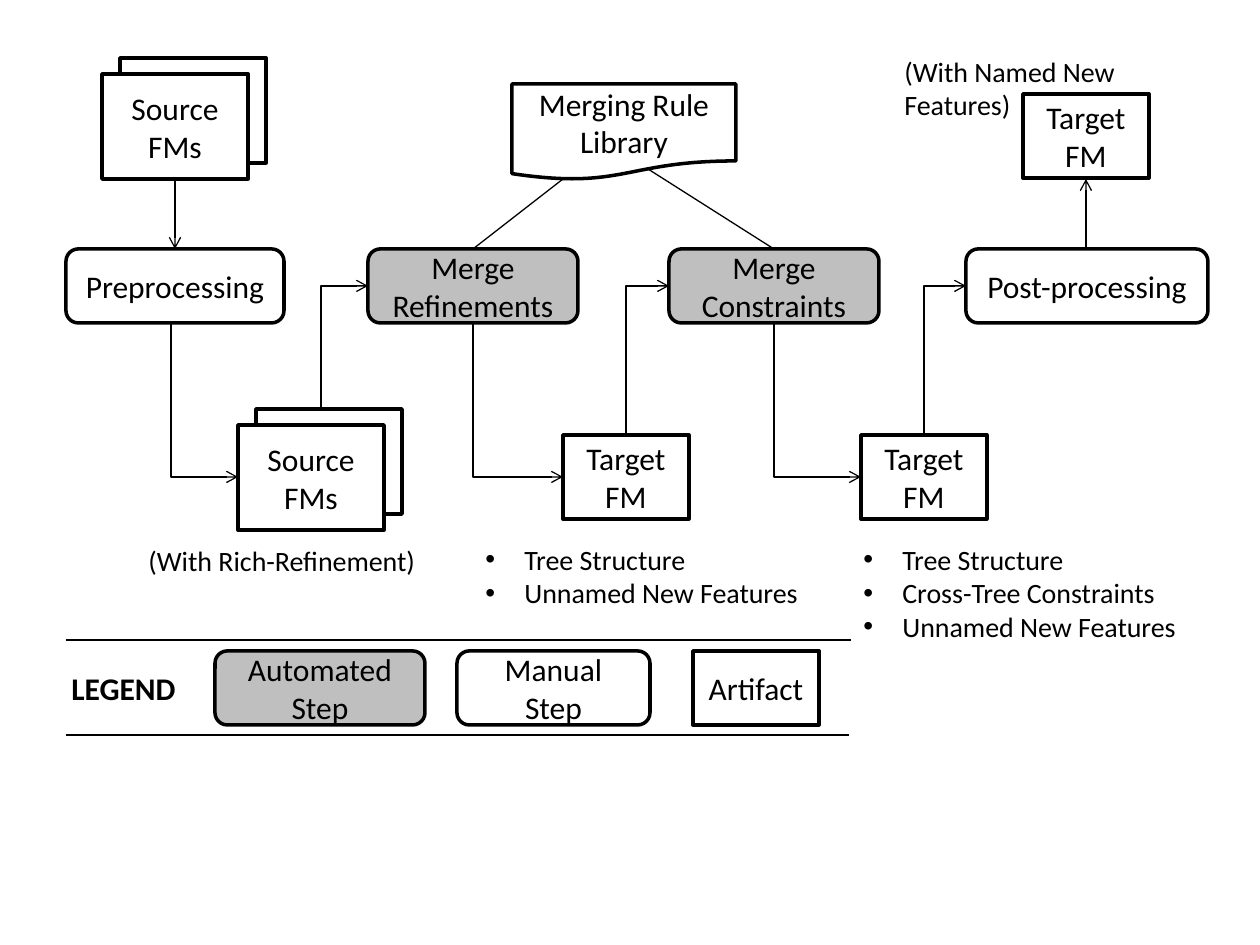
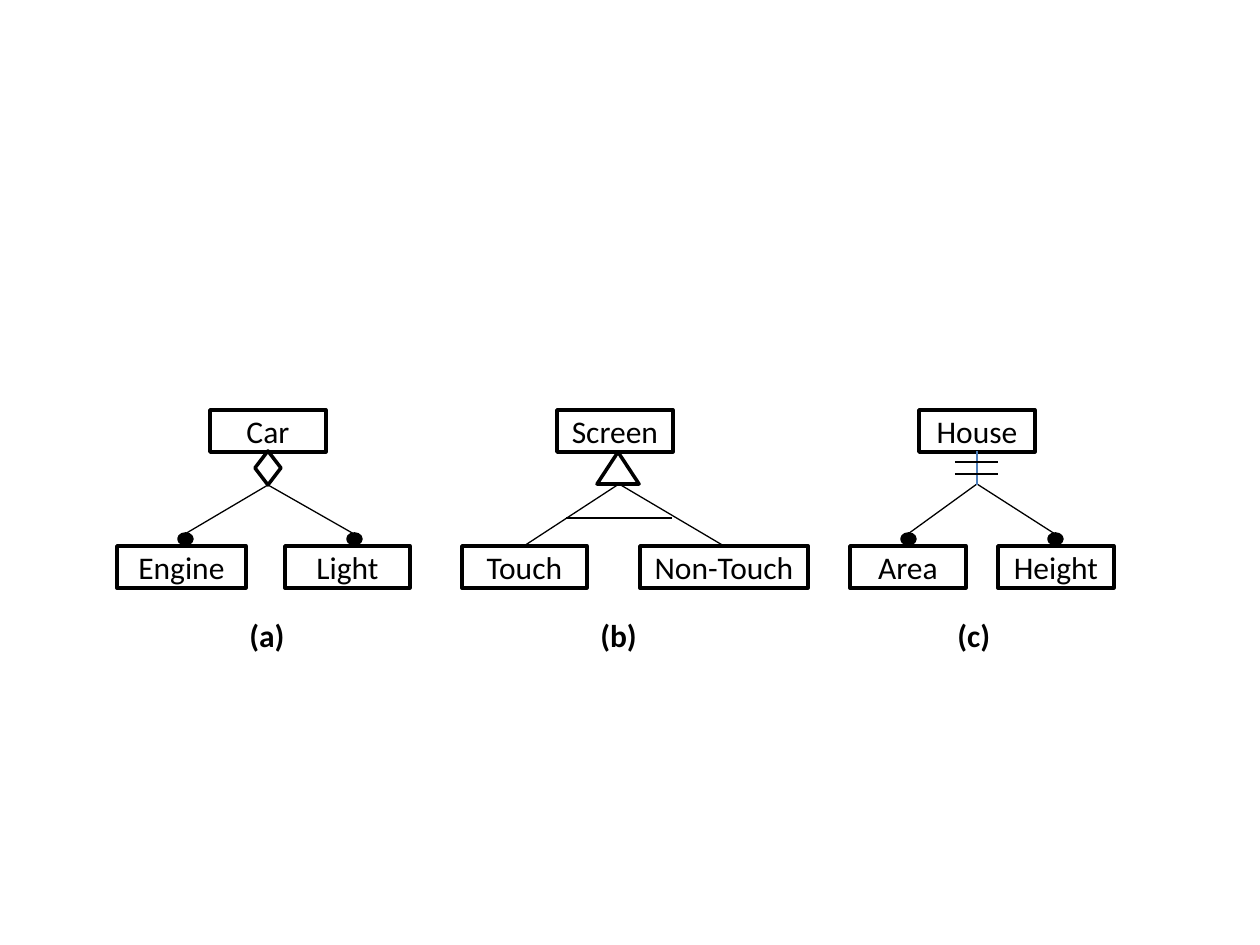
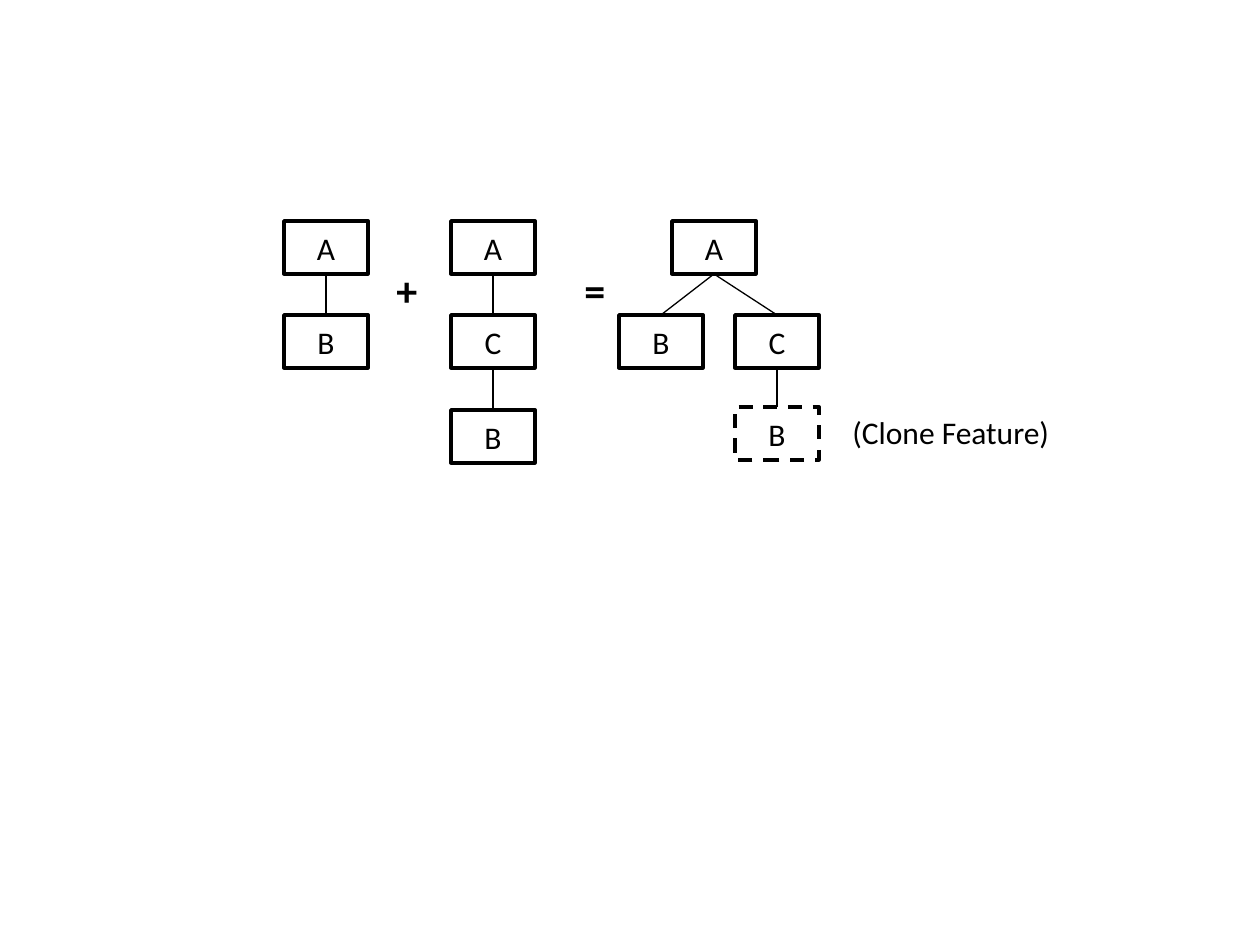
import pptx
import pptx.util
import pptx.dml.color
import pptx.enum.dml
import pptx.enum.shapes
import pptx.enum.text
import pptx.oxml.ns
import lxml.etree

PIXEL = 914400 // 126
FONT = "Calibri"
COLORS = {"ink": "000000", "paper": "FFFFFF", "automated": "BFBFBF", "accent": "4B7EBC"}
SHAPES = pptx.enum.shapes.MSO_SHAPE
CONNECTORS = pptx.enum.shapes.MSO_CONNECTOR
qn = pptx.oxml.ns.qn


def add_box(slide, kind, rect, text="", fill="paper", size=18, bold=False,
            wrap=True, bullets=False, dashed=False):
    """Add an outlined shape with centred text, or a plain label if kind is None."""
    left, top, width, height = [value * PIXEL for value in rect]
    if kind is None:
        box = slide.shapes.add_textbox(left, top, width, height)
        box.text_frame.auto_size = pptx.enum.text.MSO_AUTO_SIZE.SHAPE_TO_FIT_TEXT
    else:
        box = slide.shapes.add_shape(kind, left, top, width, height)
        box.shadow.inherit = False
        box.fill.solid()
        box.fill.fore_color.rgb = pptx.dml.color.RGBColor.from_string(COLORS[fill])
        box.line.color.rgb = pptx.dml.color.RGBColor.from_string(COLORS["ink"])
        box.line.width = pptx.util.Pt(2)
        if dashed:
            box.line.dash_style = pptx.enum.dml.MSO_LINE.DASH
        box.text_frame.vertical_anchor = pptx.enum.text.MSO_ANCHOR.MIDDLE
    box.text_frame.word_wrap = wrap
    if text:
        box.text_frame.text = text
    for para in box.text_frame.paragraphs:
        if kind is not None:
            para.alignment = pptx.enum.text.PP_ALIGN.CENTER
        if bullets:
            properties = para._p.get_or_add_pPr()
            properties.set("marL", str(39 * PIXEL))
            properties.set("indent", str(-39 * PIXEL))
            lxml.etree.SubElement(properties, qn("a:buFont")).set("typeface", "Arial")
            lxml.etree.SubElement(properties, qn("a:buChar")).set("char", "•")
        for run in para.runs:
            run.font.name = FONT
            run.font.size = pptx.util.Pt(size)
            run.font.bold = bold
            run.font.color.rgb = pptx.dml.color.RGBColor.from_string(COLORS["ink"])


def add_line(slide, start, end, arrow=False, elbow=False, color="ink", width=0.75):
    """Join two points; an elbow runs vertically first, then to the right."""
    (x1, y1), (x2, y2) = [(x * PIXEL, y * PIXEL) for x, y in (start, end)]
    kind = CONNECTORS.STRAIGHT
    if elbow:
        # The unrotated elbow runs across first, so it is laid flat and then turned.
        kind = CONNECTORS.ELBOW
        downward = y2 > y1
        length, depth = abs(y2 - y1), x2 - x1
        x1, y1 = (x1 + x2 - length) // 2, (y1 + y2 - depth) // 2
        x2, y2 = x1 + length, y1 + depth
    line = slide.shapes.add_connector(kind, x1, y1, x2, y2)
    properties = line._element.spPr
    if elbow:
        properties.find(qn("a:prstGeom")).set("prst", "bentConnector2")
        frame = properties.find(qn("a:xfrm"))
        frame.set("rot", "16200000" if downward else "5400000")
        frame.set("flipH", "1")
        if not downward:
            frame.set("flipV", "1")
    line.line.color.rgb = pptx.dml.color.RGBColor.from_string(COLORS[color])
    line.line.width = pptx.util.Pt(width)
    if arrow:
        outline = properties.find(qn("a:ln"))
        lxml.etree.SubElement(outline, qn("a:tailEnd")).set("type", "arrow")
    lxml.etree.SubElement(properties, qn("a:effectLst"))


deck = pptx.Presentation()
deck.slide_width = 1260 * PIXEL
deck.slide_height = 945 * PIXEL
blank = deck.slide_layouts[6]

# Slide 1: merging process
slide = deck.slides.add_slide(blank)

STEP_TOP, STEP_HEIGHT, LEGEND_TOP = 249, 74, 651
STEP_BOTTOM, STEP_MIDDLE = STEP_TOP + STEP_HEIGHT, 286
TARGET_TOP, ARTIFACT_MIDDLE, UPPER_BOTTOM = 435, 477, 179

for left, top, width, text, fill in [
    (66, STEP_TOP, 218, "Preprocessing", "paper"),
    (368, STEP_TOP, 210, "Merge Refinements", "automated"),
    (669, STEP_TOP, 210, "Merge Constraints", "automated"),
    (966, STEP_TOP, 242, "Post-processing", "paper"),
    (215, LEGEND_TOP, 210, "Automated Step", "automated"),
    (457, LEGEND_TOP, 193, "Manual Step", "paper"),
]:
    add_box(slide, SHAPES.ROUNDED_RECTANGLE, (left, top, width, STEP_HEIGHT), text, fill)

for left, top, height, text in [
    (563, TARGET_TOP, 84, "Target FM"),
    (861, TARGET_TOP, 84, "Target FM"),
    (1023, 94, 84, "Target FM"),
    (693, LEGEND_TOP, STEP_HEIGHT, "Artifact"),
]:
    add_box(slide, SHAPES.RECTANGLE, (left, top, 126, height), text)

add_box(slide, SHAPES.FLOWCHART_DOCUMENT, (512, 84, 224, 96), "Merging Rule Library")

for x, artifact_left in [(171, 238), (473, 563), (774, 861)]:
    add_line(slide, (x, STEP_BOTTOM), (artifact_left, ARTIFACT_MIDDLE), arrow=True, elbow=True)
for x, artifact_top, step_left in [(321, 425, 368), (626, TARGET_TOP, 669), (924, TARGET_TOP, 966)]:
    add_line(slide, (x, artifact_top), (step_left, STEP_MIDDLE), arrow=True, elbow=True)
add_line(slide, (175, UPPER_BOTTOM), (175, STEP_TOP), arrow=True)
add_line(slide, (1086, STEP_TOP), (1086, UPPER_BOTTOM), arrow=True)
add_line(slide, (473, STEP_TOP), (563, UPPER_BOTTOM))
add_line(slide, (774, STEP_TOP), (648, 169))
add_line(slide, (66, 640), (851, 640))
add_line(slide, (66, 735), (849, 735))

for left, top in [(102, 74), (238, 425)]:
    add_box(slide, SHAPES.RECTANGLE, (left + 18, top - 16, 146, 105))
    add_box(slide, SHAPES.RECTANGLE, (left, top, 146, 105), "Source FMs")

add_box(slide, None, (136, 537, 345, 47), "(With Rich-Refinement)", size=16)
add_box(slide, None, (892, 48, 345, 47), "(With Named New Features)", size=16)
add_box(slide, None, (473, 536, 359, 81), "Tree Structure\nUnnamed New Features",
        size=16, bullets=True)
add_box(slide, None, (851, 536, 345, 115),
        "Tree Structure\nCross-Tree Constraints\nUnnamed New Features", size=16, bullets=True)
add_box(slide, None, (59, 663, 130, 50), "LEGEND", bold=True, wrap=False)

# Slide 2: three kinds of refinement
slide = deck.slides.add_slide(blank)

ROOT_TOP, CHILD_TOP, NODE_HEIGHT, ROOT_WIDTH = 410, 546, 42, 116
DOT_WIDTH, DOT_HEIGHT, DOT_TOP = 13, 10, 534
CAPTION_WIDTH = 66

# Each tree: root, its left, apex of the branches, mandatory children or not,
# children as (name, left, width, foot of the branch), caption and its left
trees = [
    ("Car", 210, (268, 485), True,
     [("Engine", 117, 129, 185), ("Light", 285, 125, 354)], "(a)", 237),
    ("Screen", 557, (619, 484), False,
     [("Touch", 462, 125, 524), ("Non-Touch", 640, 168, 724)], "(b)", 588),
    ("House", 919, (977, 484), True,
     [("Area", 850, 116, 908), ("Height", 998, 116, 1055)], "(c)", 945),
]
for root, root_left, apex, mandatory, children, caption, caption_left in trees:
    add_box(slide, SHAPES.RECTANGLE, (root_left, ROOT_TOP, ROOT_WIDTH, NODE_HEIGHT), root)
    for name, left, width, foot in children:
        add_box(slide, SHAPES.RECTANGLE, (left, CHILD_TOP, width, NODE_HEIGHT), name)
        add_line(slide, apex, (foot, DOT_TOP if mandatory else CHILD_TOP))
        if mandatory:
            dot = (foot - DOT_WIDTH // 2, DOT_TOP, DOT_WIDTH, DOT_HEIGHT)
            add_box(slide, SHAPES.OVAL, dot, fill="ink")
    add_box(slide, None, (caption_left, 610, CAPTION_WIDTH, 50), caption, bold=True, wrap=False)

add_box(slide, SHAPES.FLOWCHART_DECISION, (255, 451, 26, 34))
add_box(slide, SHAPES.ISOSCELES_TRIANGLE, (597, 452, 42, 32))
add_line(slide, (566, 518), (672, 518), width=1)
add_line(slide, (977, 451), (977, 485), color="accent")
for y in (462, 474):
    add_line(slide, (955, y), (998, y))

# Slide 3: merging two trees gives a clone feature
slide = deck.slides.add_slide(blank)

FEATURE_WIDTH, FEATURE_HEIGHT = 84, 53
ROWS = [221, 315, 410]

# Each feature: name, left, top, index of its parent
features = [
    ("A", 284, ROWS[0], None), ("B", 284, ROWS[1], 0),
    ("A", 451, ROWS[0], None), ("C", 451, ROWS[1], 2), ("B", 451, ROWS[2], 3),
    ("A", 672, ROWS[0], None), ("B", 619, ROWS[1], 5), ("C", 735, ROWS[1], 5),
    ("B", 735, 407, 7),
]
for index, (name, left, top, parent) in enumerate(features):
    add_box(slide, SHAPES.RECTANGLE, (left, top, FEATURE_WIDTH, FEATURE_HEIGHT), name,
            dashed=index == len(features) - 1)
    if parent is not None:
        parent_left, parent_top = features[parent][1:3]
        half = FEATURE_WIDTH // 2
        add_line(slide, (parent_left + half, parent_top + FEATURE_HEIGHT), (left + half, top))

for sign, left in [("+", 384), ("=", 572)]:
    add_box(slide, None, (left, 258, 47, 63), sign, size=24, bold=True, wrap=False)
add_box(slide, None, (840, 407, 224, 50), "(Clone Feature)", wrap=False)

deck.save("out.pptx")
